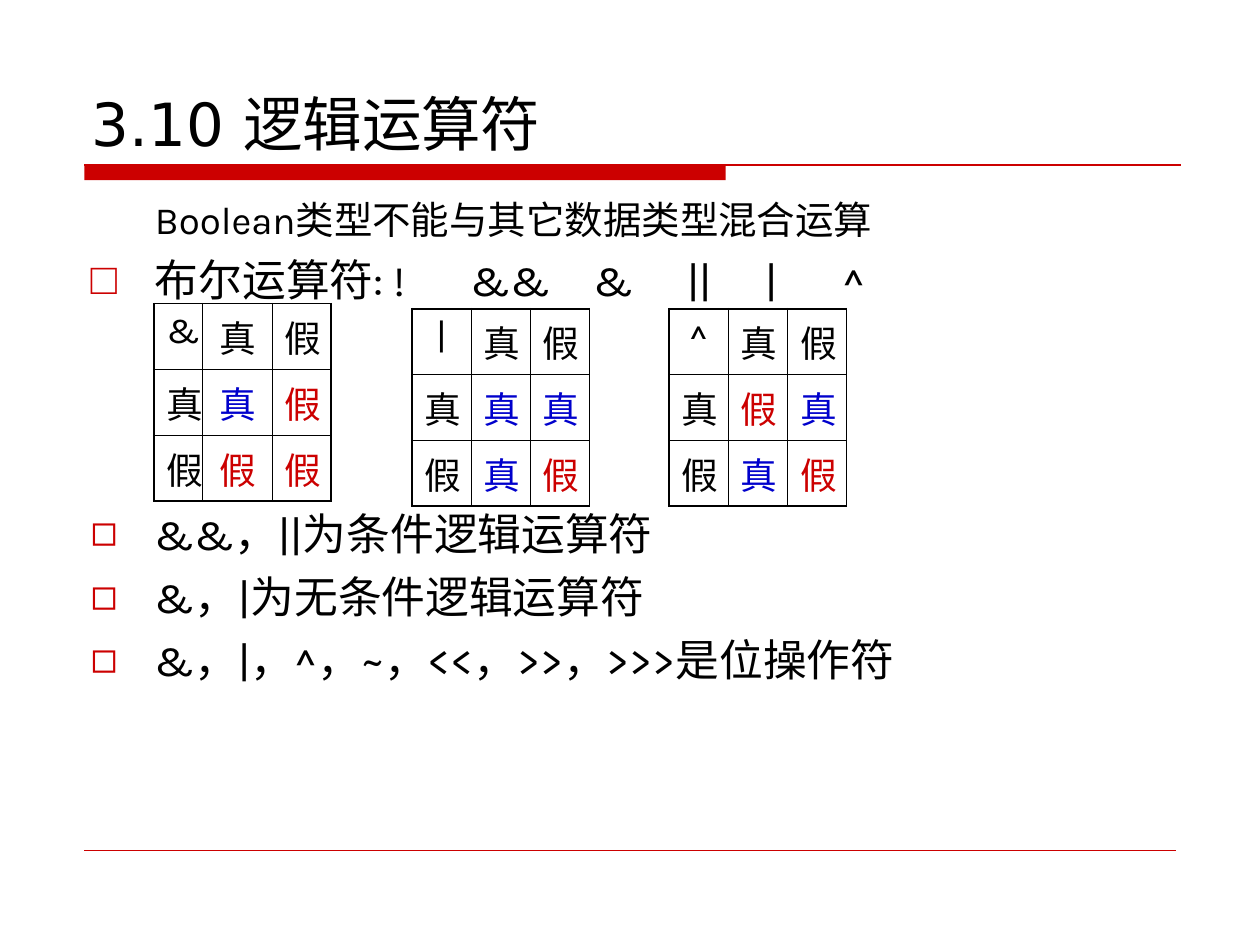
from lxml import etree
from pptx import Presentation
from pptx.dml.color import RGBColor
from pptx.enum.shapes import MSO_CONNECTOR, MSO_SHAPE
from pptx.enum.text import MSO_ANCHOR, MSO_AUTO_SIZE, PP_ALIGN
from pptx.oxml.ns import qn
from pptx.util import Inches, Pt

COLORS = {"text": "000000", "red": "CC0000", "blue": "0000CC"}
TITLE_FONT = "DejaVu Sans"
BODY_FONT = "Karla"
TRUE, FALSE = "真", "假"
SPACE_WIDTH = 6.2  # points, one space of the 25 pt body font

# Operators, each with the number of space widths before it
OPERATORS = [("!", 1), ("&&", 6), ("&", 4), ("||", 5), ("|", 5), ("^", 6)]
CONCLUSIONS = [
    "&&，||为条件逻辑运算符",
    "&，|为无条件逻辑运算符",
    "&，|，^，~，<<，>>，>>>是位操作符",
]
# Operator, result function, left, top, column widths
TRUTH_TABLES = [
    ("&", lambda a, b: a and b, 1.22, 2.41, (0.39, 0.55, 0.47)),
    ("|", lambda a, b: a or b, 3.27, 2.45, (0.47, 0.47, 0.47)),
    ("^", lambda a, b: a != b, 5.31, 2.45, (0.47, 0.47, 0.47)),
]


def rgb(name):
    return RGBColor.from_string(COLORS[name])


def set_font(paragraph, size, name=BODY_FONT, color="text"):
    font = paragraph.font
    font.size, font.name = Pt(size), name
    font.color.rgb = rgb(color)


def place(shape, left, top, width, height):
    shape.left, shape.top = Inches(left), Inches(top)
    shape.width, shape.height = Inches(width), Inches(height)


def set_bullet(paragraph, character=None):
    """Give the paragraph a hanging bullet, or only the indent without one."""
    properties = paragraph._p.get_or_add_pPr()
    properties.set("marL", str(Inches(0.51)))
    properties.set("indent", str(Inches(-0.51 if character else 0)))
    if character is None:
        etree.SubElement(properties, qn("a:buNone"))
        return
    color = etree.SubElement(properties, qn("a:buClr"))
    etree.SubElement(color, qn("a:srgbClr"), val=COLORS["red"])
    etree.SubElement(properties, qn("a:buChar"), char=character)


def add_rule(slide, left, top, width, weight):
    line = slide.shapes.add_connector(
        MSO_CONNECTOR.STRAIGHT, Inches(left), Inches(top),
        Inches(left + width), Inches(top))
    line.line.color.rgb = rgb("red")
    line.line.width = Pt(weight)
    etree.SubElement(line._element.spPr, qn("a:effectLst"))


def add_decoration(slide, left, top, bottom):
    bar = slide.shapes.add_shape(
        MSO_SHAPE.RECTANGLE, Inches(left), Inches(top), Inches(5.09), Inches(0.12))
    bar.shadow.inherit = False
    bar.fill.solid()
    bar.fill.fore_color.rgb = rgb("red")
    bar.line.fill.background()
    add_rule(slide, left, top, 8.7, 0.75)
    add_rule(slide, left, bottom, 8.66, 0.25)


def fill_title(title, left, top, width, height):
    place(title, left, top, width, height)
    frame = title.text_frame
    frame.auto_size = MSO_AUTO_SIZE.NONE
    frame.vertical_anchor = MSO_ANCHOR.BOTTOM
    frame.text = "3.10 逻辑运算符"
    paragraph = frame.paragraphs[0]
    paragraph.alignment = PP_ALIGN.LEFT
    set_font(paragraph, 34, TITLE_FONT)


def add_operators(paragraph):
    """Write the operators, widening the single space before each one."""
    paragraph.add_run().text = "布尔运算符:"
    for operator, spaces in OPERATORS:
        gap = paragraph.add_run()
        gap.text = " "
        if spaces > 1:
            spacing = round((spaces - 1) * SPACE_WIDTH * 100)
            gap._r.get_or_add_rPr().set("spc", str(spacing))
        paragraph.add_run().text = operator


def fill_body(body, left, top, width, height):
    place(body, left, top, width, height)
    frame = body.text_frame
    frame.word_wrap = True
    frame.auto_size = MSO_AUTO_SIZE.NONE
    frame.vertical_anchor = MSO_ANCHOR.TOP

    note = frame.paragraphs[0]
    note.text = "Boolean类型不能与其它数据类型混合运算"
    note.space_before, note.line_spacing = Pt(0), Pt(29)
    set_bullet(note)
    set_font(note, 22)

    for index, text in enumerate([None] + CONCLUSIONS):
        paragraph = frame.add_paragraph()
        if text is None:
            add_operators(paragraph)
        else:
            paragraph.text = text
        # The first conclusion leaves room for the truth tables
        paragraph.space_before = Pt(114.8 if index == 1 else 6.2)
        paragraph.line_spacing = Pt(30)
        set_bullet(paragraph, "□" if text is None else "◻")
        set_font(paragraph, 25)


def set_borders(cell, row, column):
    """Draw thick borders on the table's outside and thin ones inside."""
    outside = {"L": column == 0, "R": column == 2, "T": row == 0, "B": row == 2}
    properties = cell._tc.get_or_add_tcPr()
    for side, is_outer in outside.items():
        line = etree.SubElement(
            properties, qn(f"a:ln{side}"), w=str(Pt(1.08 if is_outer else 0.45)))
        fill = etree.SubElement(line, qn("a:solidFill"))
        etree.SubElement(fill, qn("a:srgbClr"), val=COLORS["text"])


def add_truth_table(slide, operator, result, left, top, widths):
    row_height = 0.5
    table = slide.shapes.add_table(
        3, 3, Inches(left), Inches(top),
        Inches(sum(widths)), Inches(3 * row_height)).table
    table.first_row = table.horz_banding = False
    for column, width in zip(table.columns, widths):
        column.width = Inches(width)
    for row in table.rows:
        row.height = Inches(row_height)

    values = (True, False)
    headings = [TRUE, FALSE]
    grid = [[operator] + headings]
    for value, heading in zip(values, headings):
        grid.append([heading] + [TRUE if result(value, other) else FALSE
                                 for other in values])

    for row, texts in enumerate(grid):
        for column, text in enumerate(texts):
            cell = table.cell(row, column)
            set_borders(cell, row, column)
            cell.fill.background()
            cell.text = text
            paragraph = cell.text_frame.paragraphs[0]
            paragraph.alignment = PP_ALIGN.CENTER
            color = "text"
            if row and column:
                color = "blue" if text == TRUE else "red"
            set_font(paragraph, 21, color=color)


def main():
    presentation = Presentation()
    presentation.slide_width, presentation.slide_height = Inches(10), Inches(7.5)
    slide = presentation.slides.add_slide(presentation.slide_layouts[1])
    add_decoration(slide, 0.67, 1.31, 6.75)
    fill_title(slide.shapes.title, 0.63, 0.33, 8.75, 0.98)
    fill_body(slide.placeholders[1], 0.62, 1.47, 7.33, 5.35)
    for truth_table in TRUTH_TABLES:
        add_truth_table(slide, *truth_table)
    presentation.save("out.pptx")


if __name__ == "__main__":
    main()
